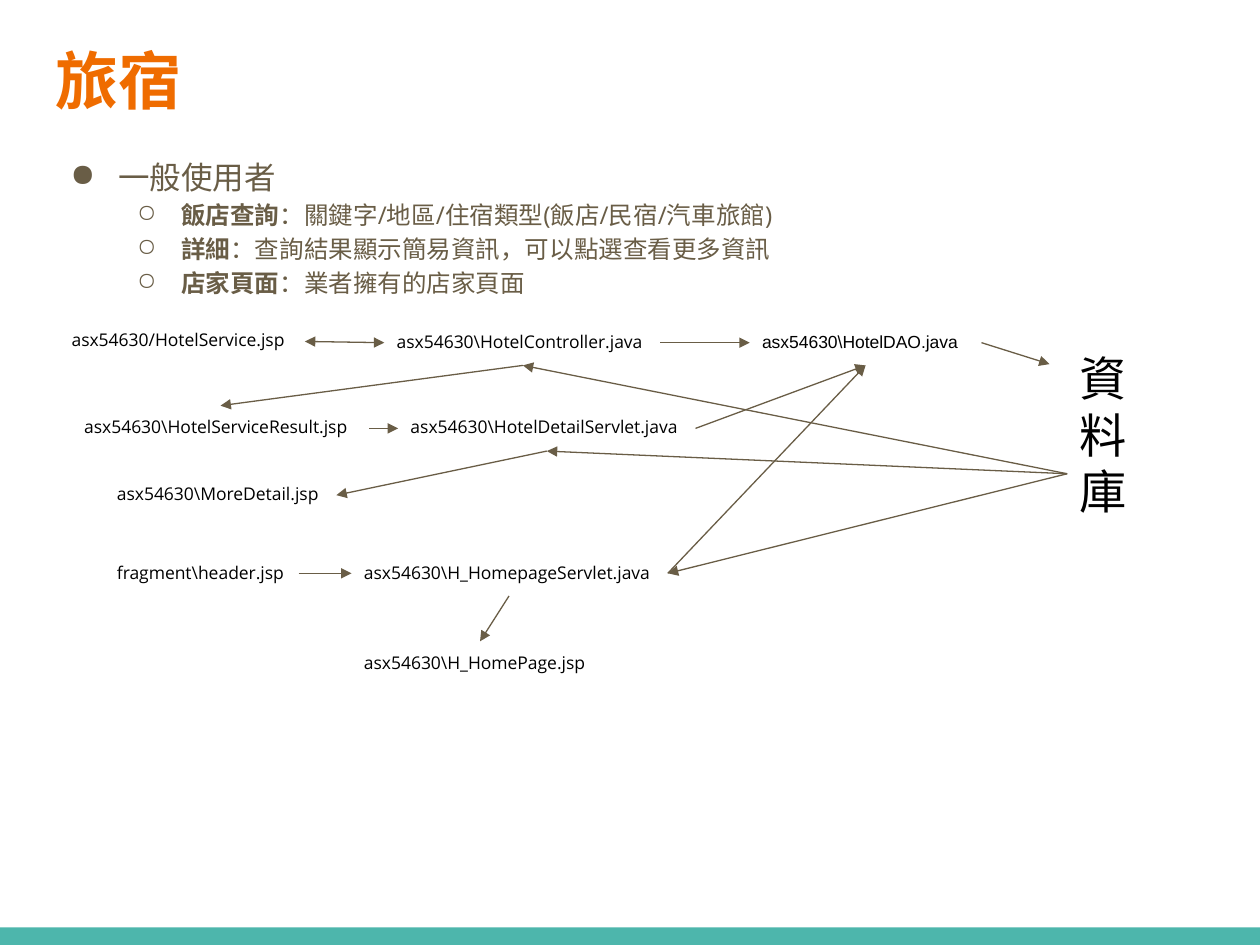
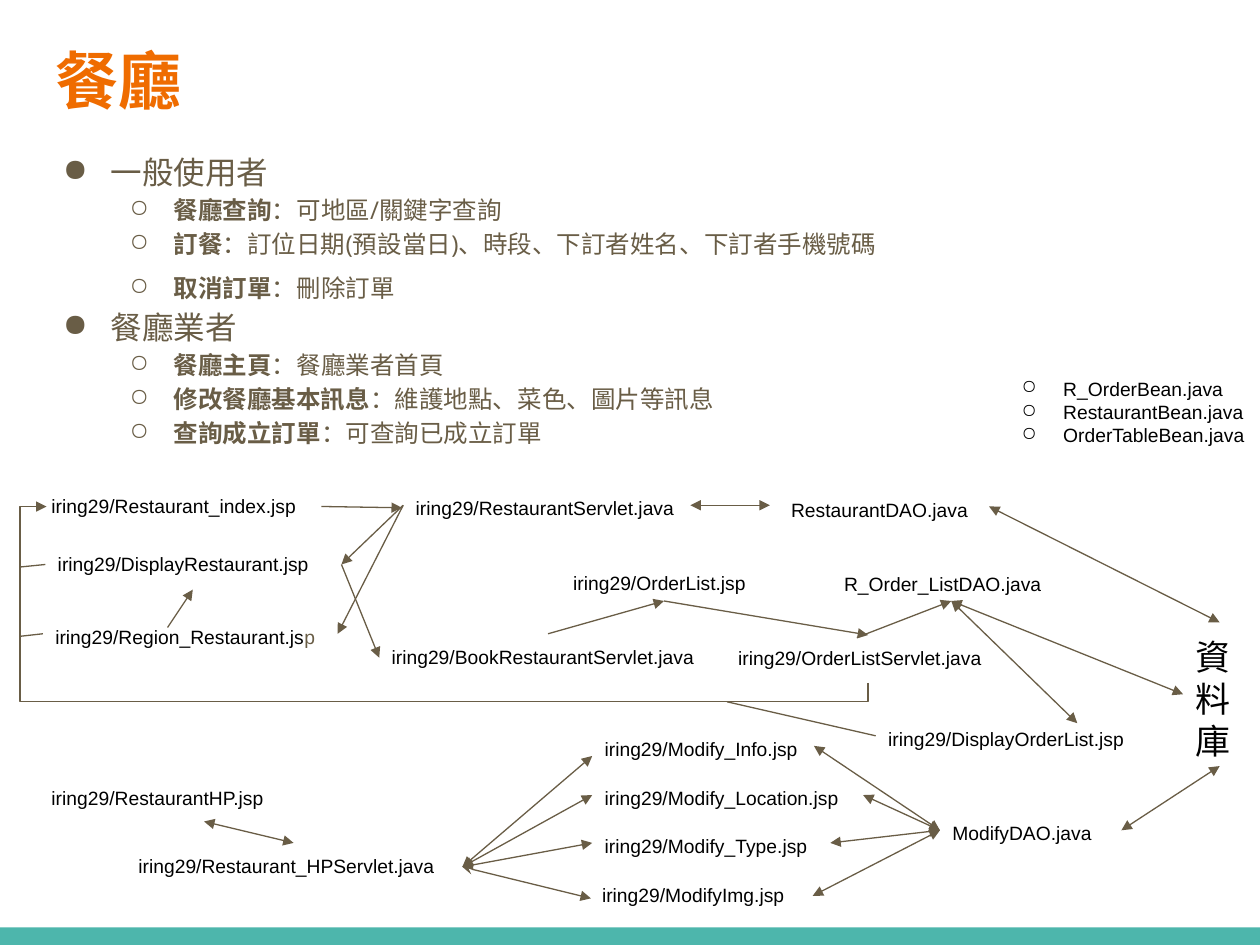
import pptx
import pptx.util
import pptx.dml.color
import pptx.enum.shapes
import pptx.enum.text
import pptx.oxml.ns
from lxml import etree

Inches = pptx.util.Inches
Pt = pptx.util.Pt

COLOURS = {"title": "EF6C00", "body": "695D46", "label": "000000", "band": "4DB6AC"}
FONTS = {"title": "Roboto Condensed", "body": "Open Sans", "label": "Arial"}
FORMATS = {
    "title": {"name": FONTS["title"], "size": Pt(36), "bold": True},
    "topic": {"name": FONTS["body"], "size": Pt(18), "bold": False},
    "detail": {"name": FONTS["body"], "size": Pt(14), "bold": False},
}
FRAME = {
    "word_wrap": True,
    "vertical_anchor": pptx.enum.text.MSO_ANCHOR.TOP,
    **{f"margin_{side}": Inches(0.1) for side in ("left", "top", "right", "bottom")},
}


def rgb(name):
    return pptx.dml.color.RGBColor.from_string(COLOURS[name])


def apply(target, values):
    for name, value in values.items():
        setattr(target, name, value)


def add_element(parent, tag, **attributes):
    return etree.SubElement(parent, pptx.oxml.ns.qn(tag), attributes)


class Deck:
    """Holds the presentation, its style and the current slide."""

    def __init__(self):
        self.presentation = pptx.Presentation()
        apply(self.presentation, {"slide_width": Inches(10), "slide_height": Inches(7.5)})
        self.slide = None

    def new_slide(self, title):
        self.slide = self.presentation.slides.add_slide(self.presentation.slide_layouts[6])
        band = self.slide.shapes.add_shape(
            pptx.enum.shapes.MSO_SHAPE.RECTANGLE,
            Inches(0), Inches(7.36), Inches(10), Inches(0.14))
        band.shadow.inherit = False
        band.fill.solid()
        band.fill.fore_color.rgb = rgb("band")
        band.line.fill.background()
        frame = self.text_frame(0.34, 0.23, 9.32, 1.03)
        self.run(frame.paragraphs[0], title, FORMATS["title"], "title")

    def text_frame(self, left, top, width, height):
        box = self.slide.shapes.add_textbox(
            Inches(left), Inches(top), Inches(width), Inches(height))
        apply(box.text_frame, FRAME)
        return box.text_frame

    def run(self, paragraph, text, values, colour):
        run = paragraph.add_run()
        run.text = text
        apply(run.font, values)
        run.font.color.rgb = rgb(colour)
        properties = run._r.get_or_add_rPr()
        for tag in ("a:ea", "a:cs"):
            add_element(properties, tag, typeface=values["name"])

    def bullet(self, frame, symbol, margin, hanging, colour):
        """Return the next paragraph of the frame, with a bullet."""
        first = frame.paragraphs[0]
        paragraph = frame.add_paragraph() if first.runs else first
        properties = paragraph._p.get_or_add_pPr()
        properties.set("marL", str(Inches(margin)))
        properties.set("indent", str(-Inches(hanging)))
        bullet_colour = add_element(properties, "a:buClr")
        add_element(bullet_colour, "a:srgbClr", val=COLOURS[colour])
        add_element(properties, "a:buChar", char=symbol)
        return paragraph

    def outline(self, left, top, height, topics):
        """Topics are (name, details); a detail is (term, explanation, line spacing)."""
        frame = self.text_frame(left, top, 9.32, height)
        for topic, details in topics:
            paragraph = self.bullet(frame, "●", 0.5, 0.38, "body")
            paragraph.line_spacing = 1.15
            self.run(paragraph, topic, FORMATS["topic"], "body")
            for term, explanation, *spacing in details:
                paragraph = self.bullet(frame, "○", 1, 0.35, "body")
                paragraph.level = 1
                paragraph.line_spacing = spacing[0] if spacing else 1.15
                self.run(paragraph, term, {**FORMATS["detail"], "bold": True}, "body")
                self.run(paragraph, "：" + explanation, FORMATS["detail"], "body")

    def label(self, left, top, width, text, size, font="label", height=0.36, tail=""):
        """Write a label; its tail, if any, takes the body colour."""
        paragraph = self.text_frame(left, top, width, height).paragraphs[0]
        values = {"name": FONTS[font], "size": Pt(size)}
        self.run(paragraph, text, values, "label")
        if tail:
            self.run(paragraph, tail, values, "body")

    def bullet_list(self, left, top, width, height, items):
        frame = self.text_frame(left, top, width, height)
        for item in items:
            paragraph = self.bullet(frame, "○", 1, 0.33, "label")
            paragraph.level = 1
            self.run(paragraph, item, {"name": FONTS["label"], "size": Pt(11)}, "label")

    def style_line(self, shape, head, tail):
        shape.line.color.rgb = rgb("body")
        shape.line.width = Pt(0.75)
        line = shape.line._get_or_add_ln()
        for tag, kind in (("a:headEnd", head), ("a:tailEnd", tail)):
            if kind:
                add_element(line, tag, type=kind, w="med", len="med")

    def arrow(self, start, end, head=None, tail="triangle"):
        connector = self.slide.shapes.add_connector(
            pptx.enum.shapes.MSO_CONNECTOR.STRAIGHT, *map(Inches, start + end))
        add_element(connector._element.spPr, "a:effectLst")
        self.style_line(connector, head, tail)
        effects = connector._element.spPr.find(pptx.oxml.ns.qn("a:effectLst"))
        connector._element.spPr.append(effects)

    def double_arrow(self, start, end, head="triangle"):
        self.arrow(start, end, head=head)

    def path_arrow(self, *points):
        """Draw an open line with corners and an arrowhead at its end."""
        first, *others = [tuple(map(Inches, point)) for point in points]
        builder = self.slide.shapes.build_freeform(*first)
        builder.add_line_segments(others, close=False)
        shape = builder.convert_to_shape()
        shape.shadow.inherit = False
        shape.fill.background()
        self.style_line(shape, None, "triangle")


def build_lodging(deck):
    deck.new_slide("旅宿")
    deck.outline(0.34, 1.11, 4.82, [("一般使用者", [
        ("飯店查詢", "關鍵字/地區/住宿類型(飯店/民宿/汽車旅館)"),
        ("詳細", "查詢結果顯示簡易資訊，可以點選查看更多資訊"),
        ("店家頁面", "業者擁有的店家頁面"),
    ])])
    for left, top, width, text in [
        (0.47, 2.53, 1.94, "asx54630/HotelService.jsp"),
        (3.05, 2.54, 2.19, r"asx54630\HotelController.java"),
        (0.57, 3.22, 2.36, r"asx54630\HotelServiceResult.jsp"),
        (3.16, 3.22, 2.36, r"asx54630\HotelDetailServlet.java"),
        (0.83, 3.75, 1.84, r"asx54630\MoreDetail.jsp"),
        (0.83, 4.38, 1.54, r"fragment\header.jsp"),
        (2.79, 4.38, 2.51, r"asx54630\H_HomepageServlet.java"),
        (2.79, 5.09, 2.05, r"asx54630\H_HomePage.jsp"),
    ]:
        deck.label(left, top, width, text, 10, "body")
    deck.label(5.95, 2.54, 1.84, r"asx54630\HotelDAO.java", 10)
    deck.label(8.47, 2.67, 0.9, "資料庫", 27, "body", height=2.18)

    database, dao = (8.47, 3.76), (6.87, 2.9)
    controller, detail, homepage = (4.15, 2.9), (4.34, 3.58), (5.3, 4.55)
    deck.double_arrow((2.42, 2.71), (3.05, 2.72))
    for start, end in [
        ((5.24, 2.72), (5.95, 2.72)),
        ((7.79, 2.72), (8.33, 2.89)),
        (controller, (1.75, 3.22)),
        ((2.93, 3.4), (3.16, 3.4)),
        (detail, (2.67, 3.93)),
        ((2.37, 4.55), (2.79, 4.55)),
        ((4.04, 4.73), (3.81, 5.09)),
        ((5.52, 3.4), dao),
        (homepage, dao),
    ]:
        deck.arrow(start, end)
    for servlet in (controller, detail, homepage):
        deck.arrow(database, servlet)


def build_restaurant(deck):
    deck.new_slide("餐廳")
    deck.outline(0.28, 1.07, 2.68, [
        ("一般使用者", [
            ("餐廳查詢", "可地區/關鍵字查詢"),
            ("訂餐", "訂位日期(預設當日)、時段、下訂者姓名、下訂者手機號碼"),
            ("取消訂單", "刪除訂單", 1.5),
        ]),
        ("餐廳業者", [
            ("餐廳主頁", "餐廳業者首頁"),
            ("修改餐廳基本訊息", "維護地點、菜色、圖片等訊息"),
            ("查詢成立訂單", "可查詢已成立訂單"),
        ]),
    ])
    for left, top, width, text in [
        (0.31, 3.83, 2.35, "iring29/Restaurant_index.jsp"),
        (3.2, 3.85, 2.35, "iring29/RestaurantServlet.java"),
        (6.18, 3.86, 1.67, "RestaurantDAO.java"),
        (0.36, 4.29, 2.35, "iring29/DisplayRestaurant.jsp"),
        (4.45, 4.44, 1.62, "iring29/OrderList.jsp"),
        (6.6, 4.45, 1.89, "R_Order_ListDAO.java"),
        (3.01, 5.03, 2.67, "iring29/BookRestaurantServlet.java"),
        (5.76, 5.04, 2.26, "iring29/OrderListServlet.java"),
        (6.95, 5.68, 2.35, "iring29/DisplayOrderList.jsp"),
        (4.7, 5.76, 1.77, "iring29/Modify_Info.jsp"),
        (4.7, 6.15, 2.15, "iring29/Modify_Location.jsp"),
        (4.7, 6.53, 1.89, "iring29/Modify_Type.jsp"),
        (4.68, 6.92, 1.77, "iring29/ModifyImg.jsp"),
        (0.31, 6.15, 2.09, "iring29/RestaurantHP.jsp"),
        (1, 6.69, 2.67, "iring29/Restaurant_HPServlet.java"),
        (7.46, 6.43, 1.43, "ModifyDAO.java"),
    ]:
        deck.label(left, top, width, text, 11)
    deck.label(0.34, 4.87, 2.35, "iring29/Region_Restaurant.js", 11, tail="p")
    deck.label(9.39, 4.94, 0.58, "資料庫", 20, "body", height=1.13)
    deck.bullet_list(7.34, 2.89, 2.66, 0.98, [
        "R_OrderBean.java", "RestaurantBean.java", "OrderTableBean.java"])

    servlet, display, order_list = (3.2, 4.01), (2.71, 4.48), (5.27, 4.77)
    order_dao, home_servlet, modify_dao = (7.55, 4.77), (3.67, 6.88), (7.46, 6.59)
    for start, end in [
        ((2.55, 4.02), (3.19, 4.03)),
        (servlet, display),
        (servlet, (2.68, 5.03)),
        ((1.33, 4.98), (1.53, 4.68)),
        (display, (3.01, 5.22)),
        ((4.35, 5.03), order_list),
        (order_list, (6.89, 5.04)),
        ((6.8, 5.06), order_dao),
    ]:
        deck.arrow(start, end)
    for start, end in [
        ((5.48, 4.01), (6.11, 4.01)),
        ((9.68, 4.94), (7.85, 4.02)),
        (order_dao, (9.39, 5.51)),
        (order_dao, (8.55, 5.74)),
        ((1.62, 6.52), (2.33, 6.69)),
        ((9.68, 6.08), (8.9, 6.59)),
    ]:
        deck.double_arrow(start, end)
    for page_left, page_right, head in [
        ((4.7, 6), (6.46, 5.92), "triangle"),
        ((4.7, 6.31), (6.85, 6.31), "triangle"),
        ((4.7, 6.69), (6.59, 6.69), "triangle"),
        ((4.69, 7.13), (6.45, 7.11), "stealth"),
    ]:
        deck.double_arrow(home_servlet, page_left, head)
        deck.double_arrow(page_right, modify_dao)

    deck.path_arrow((6.89, 5.42), (6.89, 5.57), (0.16, 5.57), (0.16, 4.02), (0.37, 4.02))
    for start, end in [
        ((5.77, 5.57), (6.95, 5.84)),
        ((0.36, 4.48), (0.16, 4.5)),
        ((0.34, 5.03), (0.16, 5.05)),
    ]:
        deck.arrow(start, end, tail=None)


def main():
    deck = Deck()
    build_lodging(deck)
    build_restaurant(deck)
    deck.presentation.save("out.pptx")


if __name__ == "__main__":
    main()
